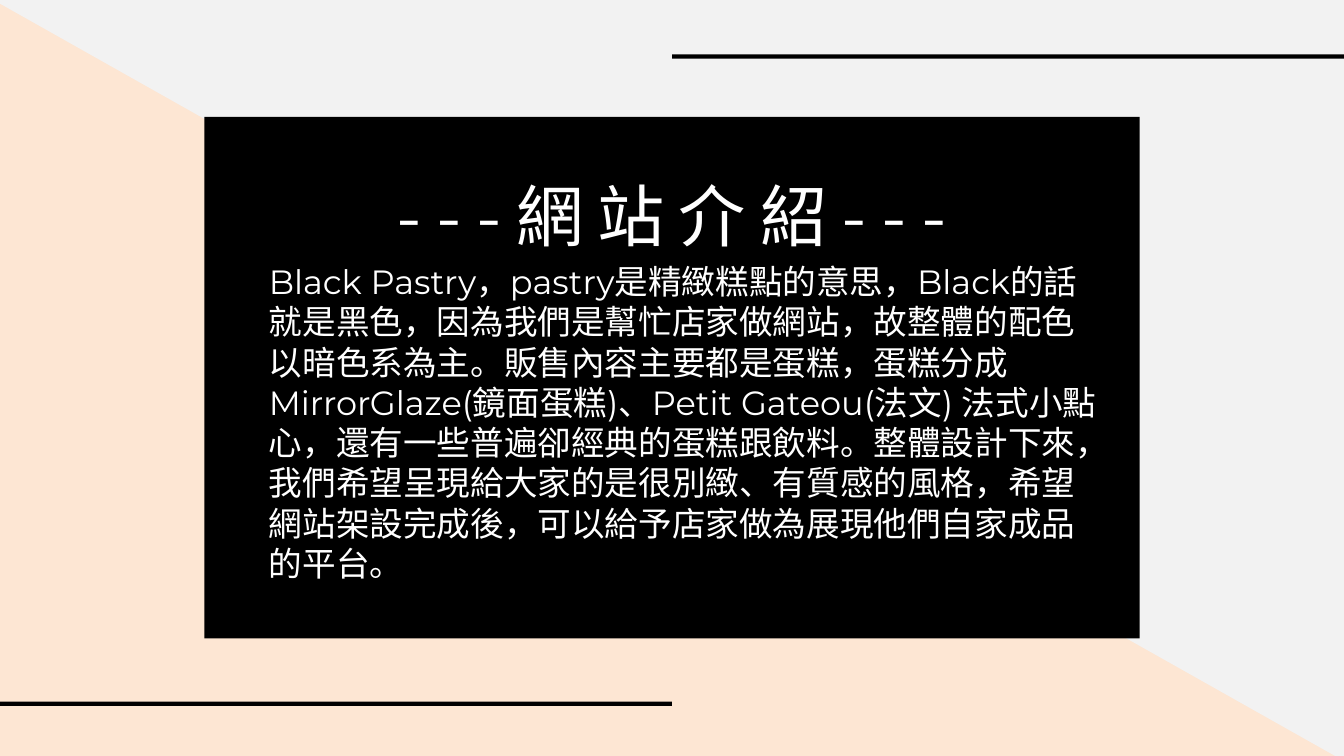
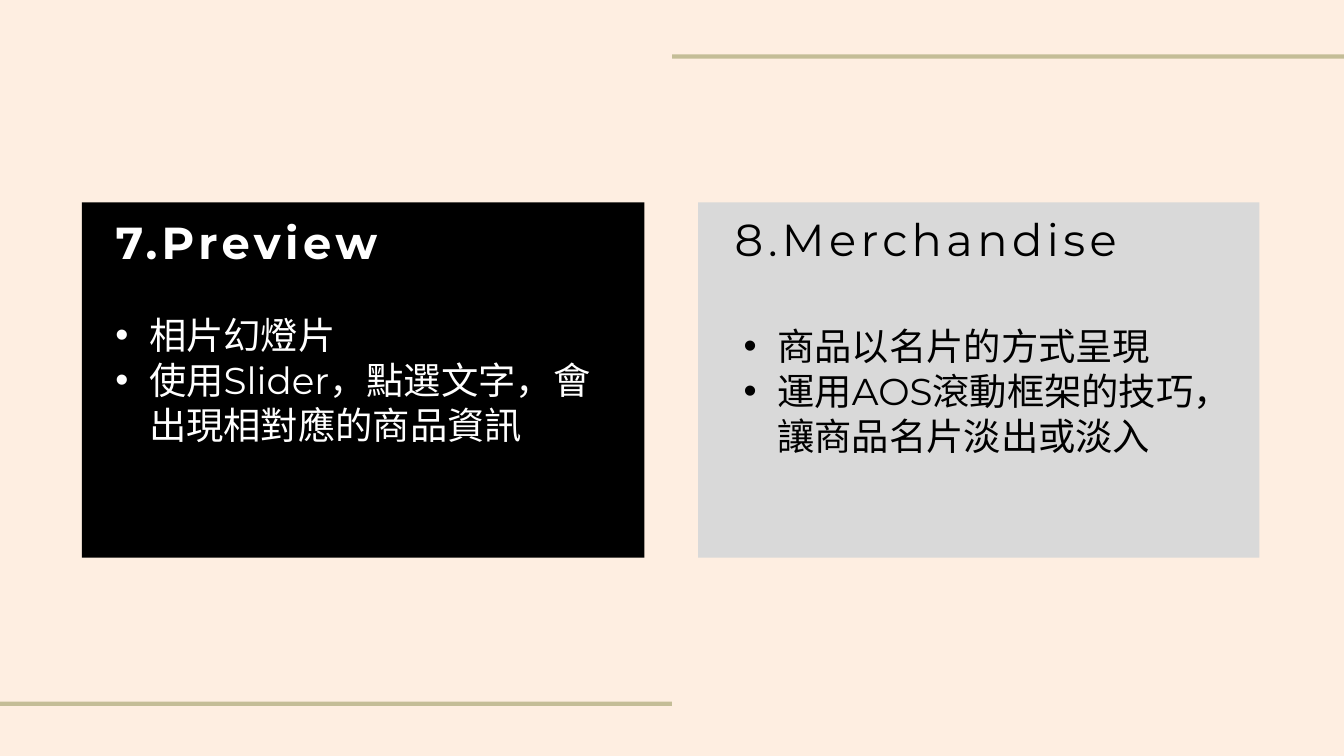
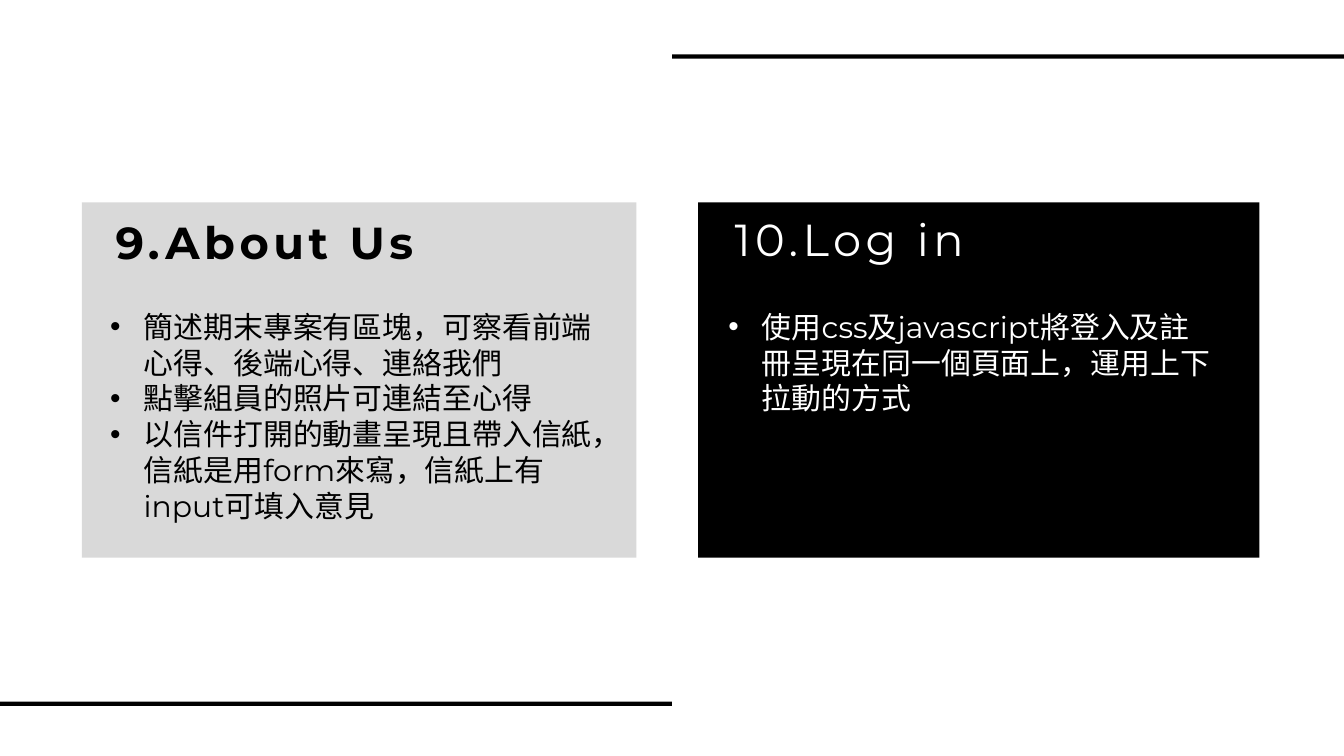
from lxml.etree import SubElement
from pptx import Presentation
from pptx.dml.color import RGBColor
from pptx.enum.shapes import MSO_SHAPE
from pptx.enum.text import MSO_AUTO_SIZE, PP_ALIGN
from pptx.oxml.ns import qn
from pptx.util import Pt

COLORS = {
    "black": "000000",
    "white": "FFFFFF",
    "mist": "F2F2F2",
    "grey": "D9D9D9",
    "apricot": "FDE6D3",
    "peach": "FEEEE1",
    "khaki": "C4BD97",
}
FONT = "Montserrat"
PANEL_TOP, PANEL_HEIGHT = 216.7, 380.9
RULE_WIDTH, RULE_HEIGHT = 1278, 4.5
BULLET_INDENT = 36


def add_block(slide, left, top, width, height, color):
    """Add a plain filled rectangle without outline or shadow."""
    block = slide.shapes.add_shape(
        MSO_SHAPE.RECTANGLE, Pt(left), Pt(top), Pt(width), Pt(height))
    block.shadow.inherit = False
    block.fill.solid()
    block.fill.fore_color.rgb = RGBColor.from_string(COLORS[color])
    block.line.fill.background()
    return block


def add_text(slide, left, top, width, height, lines, size, color, bold=False,
             align=None, leading=None, tracking=None, bulleted=False):
    """Add one paragraph per line; only bulleted boxes keep their inner margins."""
    box = slide.shapes.add_textbox(Pt(left), Pt(top), Pt(width), Pt(height))
    frame = box.text_frame
    frame.word_wrap = True
    frame.auto_size = MSO_AUTO_SIZE.SHAPE_TO_FIT_TEXT
    if not bulleted:
        frame.margin_left = frame.margin_right = 0
        frame.margin_top = frame.margin_bottom = 0
    for index, line in enumerate(lines):
        paragraph = frame.add_paragraph() if index else frame.paragraphs[0]
        run = paragraph.add_run()
        run.text = line
        if tracking:
            run._r.get_or_add_rPr().set("spc", str(round(tracking * 100)))
        if align is not None:
            paragraph.alignment = align
        if leading:
            paragraph.line_spacing = Pt(leading)
        if bulleted:
            properties = paragraph._p.get_or_add_pPr()
            properties.set("marL", str(Pt(BULLET_INDENT)))
            properties.set("indent", str(-Pt(BULLET_INDENT)))
            SubElement(properties, qn("a:buFont"), typeface="Arial")
            SubElement(properties, qn("a:buChar"), char="•")
        font = paragraph.font
        font.name, font.size, font.bold = FONT, Pt(size), bold
        font.color.rgb = RGBColor.from_string(COLORS[color])


deck = Presentation()
deck.slide_width, deck.slide_height = Pt(1440), Pt(810)

# Every slide has a background and two half-width rules
slides = []
for background, rule in [("apricot", "black"), ("peach", "khaki"), ("white", "black")]:
    slide = deck.slides.add_slide(deck.slide_layouts[6])
    slide.background.fill.solid()
    slide.background.fill.fore_color.rgb = RGBColor.from_string(COLORS[background])
    if not slides:
        diagonal = add_block(slide, -33.1, -387.4, 1967.8, 863.3, "mist")
        diagonal.rotation = 29.4
    add_block(slide, 720 - RULE_WIDTH, 751.7, RULE_WIDTH, RULE_HEIGHT, rule)
    add_block(slide, 720, 58.3, RULE_WIDTH, RULE_HEIGHT, rule)
    slides.append(slide)
introduction, shop_pages, account_pages = slides

# Website introduction
add_block(introduction, 218.9, 125.3, 1002.2, 558.7, "black")
add_text(introduction, 285.1, 130.3, 869.8, 127.4, ["---網站介紹---"], 72, "white",
         align=PP_ALIGN.CENTER, leading=142.4, tracking=15.2)
add_text(introduction, 288, 279.4, 896.4, 349.2, [
    "Black Pastry，pastry是精緻糕點的意思，Black的話就是黑色，因為我們是幫忙店家做網站，"
    "故整體的配色以暗色系為主。販售內容主要都是蛋糕，蛋糕分成MirrorGlaze(鏡面蛋糕)、"
    "Petit Gateou(法文) 法式小點心，還有一些普遍卻經典的蛋糕跟飲料。整體設計下來，"
    "我們希望呈現給大家的是很別緻、有質感的風格，希望網站架設完成後，"
    "可以給予店家做為展現他們自家成品的平台。"], 36, "white")

# Page panels: slide, left, width, fill, ink, title, points, size, points box
panels = [
    (shop_pages, 87.8, 602.6, "black", "white", "7.Preview",
     ["相片幻燈片", "使用Slider，點選文字，會出現相對應的商品資訊"],
     40, (116.6, 331.2, 537.1, 152.6)),
    (shop_pages, 748.1, 601.2, "grey", "black", "8.Merchandise",
     ["商品以名片的方式呈現", "運用AOS滾動框架的技巧，讓商品名片淡出或淡入"],
     40, (789.8, 342.7, 563.8, 152.6)),
    (account_pages, 87.8, 594, "grey", "black", "9.About Us",
     ["簡述期末專案有區塊，可察看前端心得、後端心得、連絡我們",
      "點擊組員的照片可連結至心得",
      "以信件打開的動畫呈現且帶入信紙，信紙是用form來寫，信紙上有input可填入意見"],
     32, (110.9, 326.9, 537.1, 239.8)),
    (account_pages, 748.1, 601.2, "black", "white", "10.Log in",
     ["使用css及javascript將登入及註冊呈現在同一個頁面上，運用上下拉動的方式"],
     32, (773.3, 326.9, 537.1, 123.8)),
]
for slide, left, width, fill, ink, title, points, size, points_box in panels:
    on_left = left < 720
    title_left, title_top = (123.8, 242.6) if on_left else (787, 239.8)
    add_block(slide, left, PANEL_TOP, width, PANEL_HEIGHT, fill)
    add_text(slide, title_left, title_top, 458, 45.4, [title], 48, ink,
             bold=on_left, leading=44.8, tracking=4.8)
    add_text(slide, *points_box, points, size, ink, bulleted=True)

deck.save("out.pptx")
